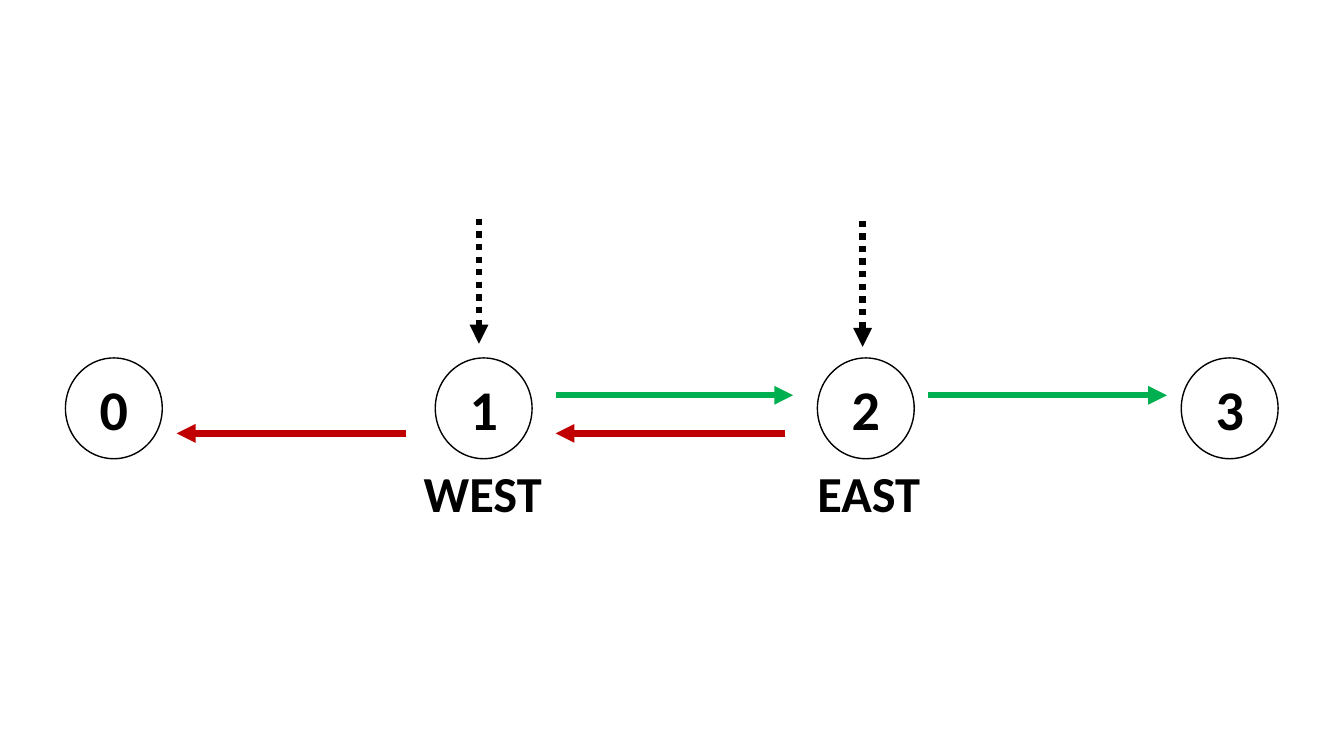
from lxml import etree
from pptx import Presentation
from pptx import util as u
from pptx.dml.color import RGBColor
from pptx.enum import dml, shapes, text
from pptx.oxml.ns import qn

BLACK, WHITE, RED, GREEN = "000000", "FFFFFF", "C00000", "00B050"


def colour(value):
    """Turn a hex string into a colour."""
    return RGBColor.from_string(value)


class Diagram:
    """Hold the style and draw elements, in centimetres, on the current slide."""

    font = "Calibri"
    arrow_width = 4.5

    def __init__(self, page):
        """Keep the slide to draw on."""
        self.page = page

    def add_words(self, shape, words, size):
        """Put one bold centred line in a shape."""
        frame = shape.text_frame
        frame.word_wrap = True
        para = frame.paragraphs[0]
        para.alignment = text.PP_ALIGN.CENTER
        span = para.add_run()
        span.text = words
        span.font.name = self.font
        span.font.size = u.Pt(size)
        span.font.bold = True
        span.font.color.rgb = colour(BLACK)
        return frame

    def node(self, words, left):
        """Draw a numbered circle on the common row."""
        circle = self.page.shapes.add_shape(
            shapes.MSO_SHAPE.OVAL, u.Cm(left), u.Cm(9.02), u.Cm(2.44), u.Cm(2.54))
        circle.shadow.inherit = False
        circle.fill.solid()
        circle.fill.fore_color.rgb = colour(WHITE)
        circle.line.color.rgb = colour(BLACK)
        circle.line.width = u.Pt(1)
        frame = self.add_words(circle, words, 40)
        frame.vertical_anchor = text.MSO_ANCHOR.MIDDLE

    def label(self, words, left):
        """Add a direction name under a circle."""
        box = self.page.shapes.add_textbox(
            u.Cm(left), u.Cm(11.51), u.Cm(3.71), u.Cm(2.03))
        frame = self.add_words(box, words, 36)
        frame.auto_size = text.MSO_AUTO_SIZE.SHAPE_TO_FIT_TEXT

    def arrow(self, start, end, tint, dotted=False):
        """Draw a straight arrow between two points."""
        arrow = self.page.shapes.add_connector(
            shapes.MSO_CONNECTOR.STRAIGHT, *map(u.Cm, start + end))
        arrow.line.color.rgb = colour(tint)
        arrow.line.width = u.Pt(self.arrow_width)
        if dotted:
            arrow.line.dash_style = dml.MSO_LINE.ROUND_DOT
        properties = arrow.element.spPr
        outline = properties.find(qn("a:ln"))
        etree.SubElement(outline, qn("a:tailEnd"), type="triangle")
        etree.SubElement(properties, qn("a:effectLst"))


def main():
    """Build the deck and save it."""
    deck = Presentation()
    deck.slide_width, deck.slide_height = u.Cm(33.87), u.Cm(19.05)
    diagram = Diagram(deck.slides.add_slide(deck.slide_layouts[6]))

    for number, left in enumerate((1.65, 10.97, 20.6, 29.77)):
        diagram.node(str(number), left)
    for x, top, bottom in ((12.07, 5.51, 8.66), (21.74, 5.56, 8.74)):
        diagram.arrow((x, top), (x, bottom), BLACK, dotted=True)
    for start, end in ((14, 19.99), (23.39, 29.41)):
        diagram.arrow((start, 9.96), (end, 9.96), GREEN)
    for start, end in ((19.79, 14), (10.24, 4.45)):
        diagram.arrow((start, 10.92), (end, 10.92), RED)
    for words, left in (("WEST", 10.31), ("EAST", 20.04)):
        diagram.label(words, left)

    deck.save("out.pptx")


if __name__ == "__main__":
    main()
